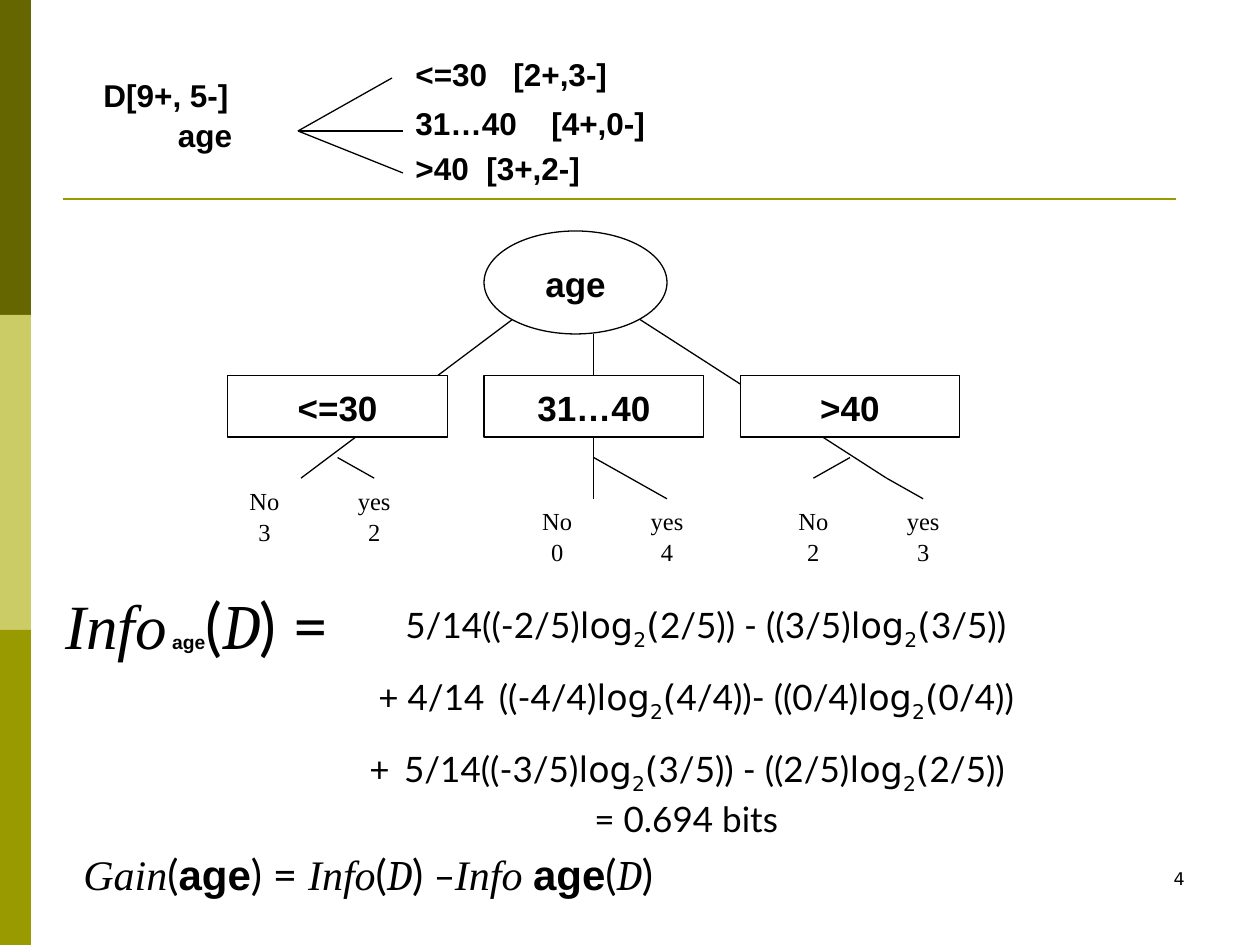
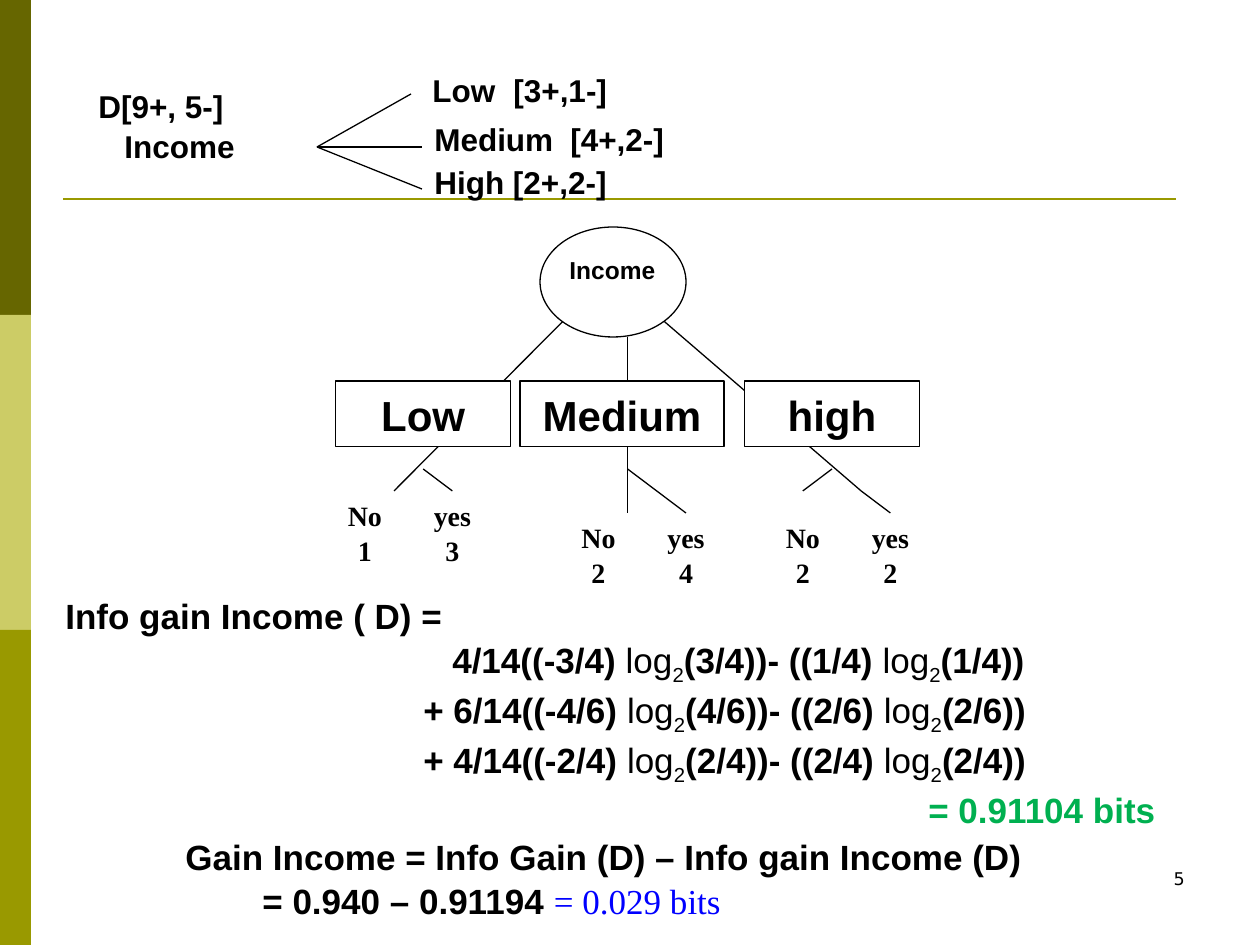
from dataclasses import dataclass, replace
from typing import NamedTuple

import pptx
import pptx.dml.color
import pptx.enum.shapes
import pptx.enum.text
import pptx.oxml
import pptx.oxml.ns
import pptx.util

SHAPE = pptx.enum.shapes.MSO_SHAPE
ALIGN = pptx.enum.text.PP_ALIGN
ANCHOR = pptx.enum.text.MSO_ANCHOR

EMU_PER_PX = 914400 / 126
SLIDE_W, SLIDE_H = 1260, 945
BLACK, WHITE, GREEN, BLUE = "000000", "FFFFFF", "00B050", "0000FF"
OLIVE = "999900"
BANDS = ("666600", "CCCC66", OLIVE)
BAND_W = 31
LINE_SPACING = 1.05


@dataclass(frozen=True)
class Style:
    size: int
    font: str = "Arial"
    bold: bool = False
    italic: bool = False
    color: str = BLACK
    subscript: bool = False


class Para(NamedTuple):
    runs: list[tuple[str, Style]]
    indent: int = 0
    tab: int = 0
    align: ALIGN = ALIGN.LEFT


class Box(NamedTuple):
    left: float
    top: float
    width: float
    height: float


class Leaf(NamedTuple):
    label: str
    count: str
    column: int
    row: int


@dataclass(frozen=True)
class Tree:
    """A decision tree on a grid of fifths of its root ellipse."""
    root: Box
    name: str
    name_style: Style
    name_box: Box
    branches: dict[str, Box]
    branch_style: Style
    counts: str
    leaf_style: Style


HEADING = Style(18, bold=True)
BOLD = Style(20, bold=True)
PLAIN = Style(20)
LATO = Style(20, "Lato")
DEJAVU = Style(20, "DejaVu Sans")

# Tree lines in grid units, counted from the root's top left corner
ROOT_LINES = ((4, 4, 11, 12), (3, 5, 3, 13), (1, 4, -5, 12))
LEAF_LINES = ((-4, 11, -3, 12), (3, 11, 5, 13), (10, 11, 9, 12), (11, 12, 12, 13))
LEAF_PLACES = ((-8, 12), (-5, 12), (0, 13), (3, 13), (7, 13), (10, 13))
BRANCH_COLUMNS = (-7, 0, 7)


def px(n: float) -> int:
    return round(n * EMU_PER_PX)


def emu(box: Box) -> list[int]:
    return [px(n) for n in box]


def rgb(color: str) -> pptx.dml.color.RGBColor:
    return pptx.dml.color.RGBColor.from_string(color)


def write(tf, paras: list[Para], anchor=ANCHOR.TOP) -> None:
    tf.word_wrap = True
    tf.vertical_anchor = anchor
    for i, para in enumerate(paras):
        p = tf.add_paragraph() if i else tf.paragraphs[0]
        pPr = p._p.get_or_add_pPr()
        if para.indent:
            pPr.set("marL", str(px(para.indent)))
        if para.tab:
            pPr.append(pptx.oxml.parse_xml(
                f'<a:tabLst {pptx.oxml.ns.nsdecls("a")}>'
                f'<a:tab pos="{px(para.tab)}" algn="l"/></a:tabLst>'))
        p.alignment = para.align
        p.line_spacing = LINE_SPACING
        for text, style in para.runs:
            r = p.add_run()
            r.text = text
            r.font.size = pptx.util.Pt(style.size)
            r.font.name = style.font
            r.font.bold = style.bold
            r.font.italic = style.italic
            r.font.color.rgb = rgb(style.color)
            if style.subscript:
                r._r.get_or_add_rPr().set("baseline", "-25000")


def add_text(shapes, box: Box, paras: list[Para], anchor=ANCHOR.TOP) -> None:
    write(shapes.add_textbox(*emu(box)).text_frame, paras, anchor)


def add_line(shapes, ends, color: str = BLACK, width: float = 0.75) -> None:
    line = shapes.add_connector(
        pptx.enum.shapes.MSO_CONNECTOR.STRAIGHT, *[px(n) for n in ends])
    line.line.color.rgb = rgb(color)
    line.line.width = pptx.util.Pt(width)
    line._element.spPr.append(
        pptx.oxml.parse_xml(f'<a:effectLst {pptx.oxml.ns.nsdecls("a")}/>'))


def add_shape(shapes, kind, box: Box, fill: str, outlined: bool = True):
    sp = shapes.add_shape(kind, *emu(box))
    sp.shadow.inherit = False
    sp.fill.solid()
    sp.fill.fore_color.rgb = rgb(fill)
    if outlined:
        sp.line.color.rgb = rgb(BLACK)
        sp.line.width = pptx.util.Pt(0.75)
    else:
        sp.line.fill.background()
    return sp


def add_base(prs, number: str):
    """Add a slide with the side bands, the rule and its number."""
    shapes = prs.slides.add_slide(prs.slide_layouts[6]).shapes
    height = SLIDE_H // len(BANDS)
    for i, color in enumerate(BANDS):
        add_shape(shapes, SHAPE.RECTANGLE, Box(0, i * height, BAND_W, height), color, False)
    add_line(shapes, (63, 199, 1176, 199), OLIVE, 1.5)
    add_text(shapes, Box(903, 861, 294, 63),
             [Para([(number, Style(10, "DejaVu Sans"))], align=ALIGN.RIGHT)])
    return shapes


def add_split(shapes, x: int, y: int, branches: list[tuple[Box, str, int]]) -> None:
    """Draw the fan of three lines from (x, y) and the text of each branch."""
    for dx, dy in ((94, -53), (105, 0), (105, 42)):
        add_line(shapes, (x, y, x + dx, y + dy))
    for box, text, tab in branches:
        add_text(shapes, box, [Para([(text, HEADING)], tab=tab)])


def add_tree(slide_shapes, tree: Tree) -> None:
    shapes = slide_shapes.add_group_shape().shapes
    root = tree.root
    u, v = root.width / 5, root.height / 5

    def cell(column: float, row: float, columns: float, rows: float) -> Box:
        return Box(root.left + column * u, root.top + row * v, columns * u, rows * v)

    def draw_lines(lines) -> None:
        for x1, y1, x2, y2 in lines:
            add_line(shapes, (*cell(x1, y1, 0, 0)[:2], *cell(x2, y2, 0, 0)[:2]))

    def centred(text: str, style: Style) -> Para:
        return Para([(text, style)], align=ALIGN.CENTER)

    draw_lines(ROOT_LINES)
    add_shape(shapes, SHAPE.OVAL, root, WHITE)
    add_text(shapes, tree.name_box, [centred(tree.name, tree.name_style)])
    for column, (label, box) in zip(BRANCH_COLUMNS, tree.branches.items()):
        sp = add_shape(shapes, SHAPE.RECTANGLE, box or cell(column, 7, 6, 3), WHITE)
        write(sp.text_frame, [centred(label, tree.branch_style)], ANCHOR.MIDDLE)
    draw_lines(LEAF_LINES)
    for i, ((column, row), count) in enumerate(zip(LEAF_PLACES, tree.counts)):
        leaf = Leaf("yes" if i % 2 else "No", count, column, row)
        add_text(shapes, cell(leaf.column, leaf.row, 4, 4),
                 [centred(text, tree.leaf_style) for text in (leaf.label, leaf.count)])


def age_terms(weight: str, first: str, second: str) -> list[tuple[str, Style]]:
    log = [("log", DEJAVU), ("2", replace(DEJAVU, subscript=True)), ("(", DEJAVU)]
    return [(f"{weight}((-{first})", LATO), *log,
            (f"{first})) - (({second})", LATO), *log, (f"{second}))", LATO)]


def income_terms(weight: str, first: str, second: str) -> list[tuple[str, Style]]:
    log = [(" log", PLAIN), ("2", replace(PLAIN, subscript=True))]
    return [(f"{weight}((-{first})", BOLD), *log,
            (f"({first}))- (({second})", BOLD), *log, (f"({second}))", BOLD)]


def age_slide(prs) -> None:
    shapes = add_base(prs, "4")
    add_text(shapes, Box(67, 68, 198, 89), [
        Para([("D[9+, 5-]", HEADING)], align=ALIGN.CENTER),
        Para([("age", HEADING)], indent=78, align=ALIGN.CENTER)])
    add_split(shapes, 298, 131, [
        (Box(403, 47, 222, 50), "<=30\t[2+,3-]", 98),
        (Box(403, 96, 262, 50), "31…40\t[4+,0-]", 136),
        (Box(403, 141, 196, 50), ">40\t[3+,2-]", 71)])

    def formula(size: int) -> tuple[Style, Style, Style, Style]:
        return (Style(size, "Times New Roman", italic=True), Style(size, "Lato"),
                Style(size, "Cambria", italic=True), Style(size, bold=True))

    word, sign, data, _ = formula(36)
    add_text(shapes, Box(53, 577, 397, 89), [Para([
        ("Info", word), (" age", Style(11, bold=True)), ("(", sign), ("D", data), (") =", sign)])])
    word, sign, data, name = formula(24)
    add_text(shapes, Box(71, 840, 651, 64), [Para([
        ("Gain", word), ("(", sign), ("age", name), (") = ", sign),
        ("Info", word), ("(", sign), ("D", data), (") ", sign),
        ("–", Style(24, "Calibri")), ("Info ", word), ("age", name),
        ("(", sign), ("D", data), (")", sign)])])

    wide_space = (" ", Style(32, "Lato"))
    middle = age_terms("", "4/4", "0/4")
    middle[3:5] = [middle[3], ("4/4))- ((0/4)", LATO)]
    add_text(shapes, Box(357, 595, 742, 233), [
        Para(age_terms("5/14", "2/5", "3/5"), indent=36),
        Para([("+ 4/14", LATO), wide_space, *middle], indent=9),
        Para([("+", LATO), wide_space, *age_terms("5/14", "3/5", "2/5")]),
        Para([("= 0.694 bits", LATO)], indent=225)])
    add_tree(shapes, Tree(
        Box(484, 231, 183, 103), "age", BOLD, Box(484, 254, 183, 62),
        {"<=30": None, "31…40": None, ">40": None}, BOLD,
        "320423", Style(14, "Times New Roman")))


def income_slide(prs) -> None:
    shapes = add_base(prs, "5")
    add_text(shapes, Box(86, 79, 173, 89), [
        Para([("D[9+, 5-]", HEADING)]), Para([("Income", HEADING)], indent=26)])
    add_split(shapes, 317, 147, [
        (Box(420, 63, 206, 50), "Low\t[3+,1-]", 81),
        (Box(422, 112, 262, 50), "Medium\t[4+,2-]", 136),
        (Box(422, 155, 203, 50), "High [2+,2-]", 0)])
    add_tree(shapes, Tree(
        Box(540, 227, 146, 110), "Income", Style(14, bold=True), Box(525, 247, 175, 66),
        {"Low": None, "Medium": Box(520, 381, 204, 66), "high": None}, Style(24, bold=True),
        "132422", Style(16, "Times New Roman", bold=True)))
    add_text(shapes, Box(173, 827, 961, 97), [
        Para([("Gain Income = Info Gain (D) – Info gain Income (D)", BOLD)]),
        Para([("= 0.940 – 0.91194 ", BOLD),
              ("= 0.029 bits", Style(20, "Times New Roman", color=BLUE))], indent=77)])
    add_text(shapes, Box(53, 586, 1207, 267), [
        Para([("Info gain Income ( D) =", BOLD)]),
        Para(income_terms("4/14", "3/4", "1/4"), indent=387),
        Para(income_terms("+ 6/14", "4/6", "2/6"), indent=358),
        Para(income_terms("+ 4/14", "2/4", "2/4"), indent=358),
        Para([("= 0.91104 bits", replace(BOLD, color=GREEN))], indent=863)])


def main() -> None:
    prs = pptx.Presentation()
    prs.slide_width, prs.slide_height = px(SLIDE_W), px(SLIDE_H)
    age_slide(prs)
    income_slide(prs)
    prs.save("out.pptx")


if __name__ == "__main__":
    main()
